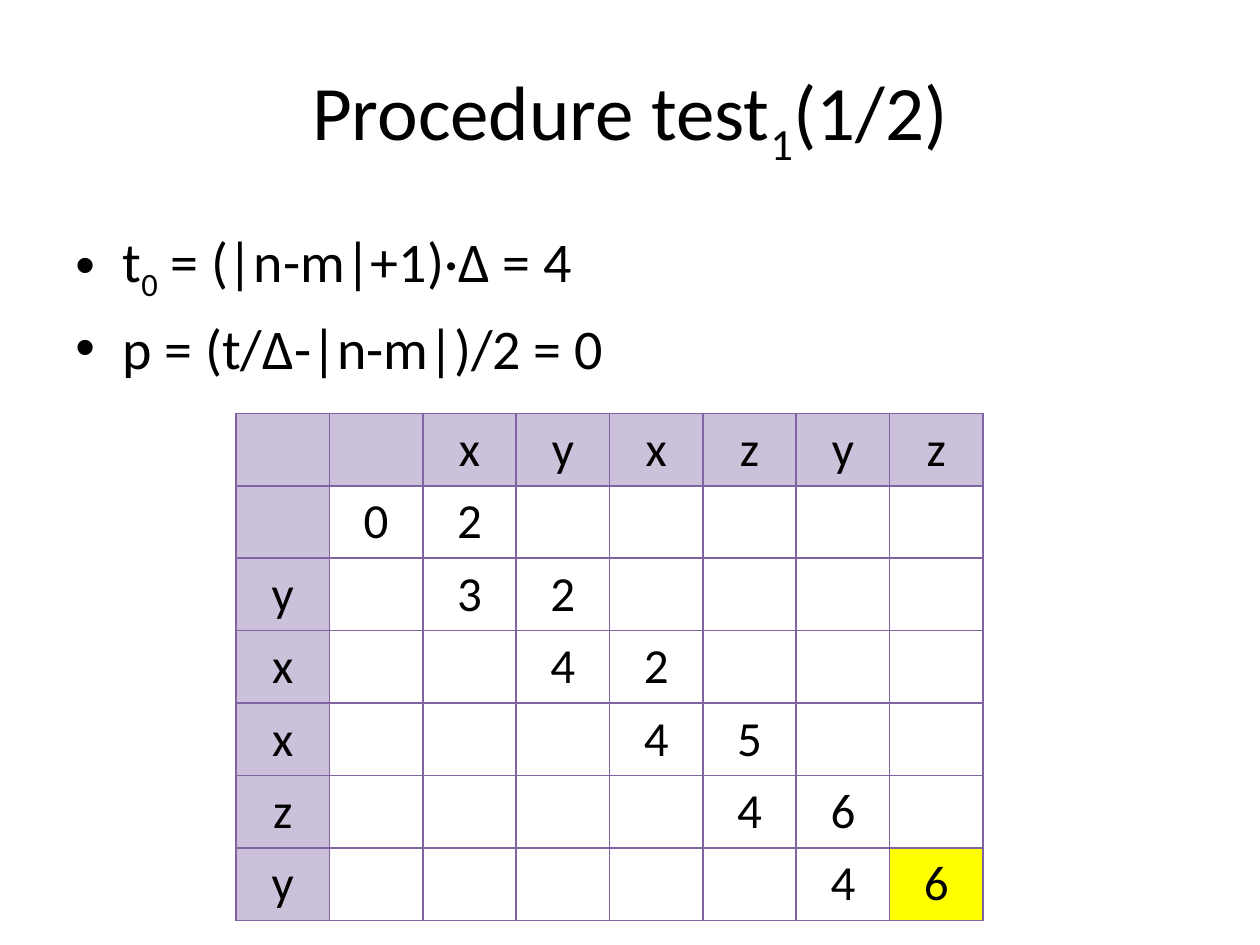
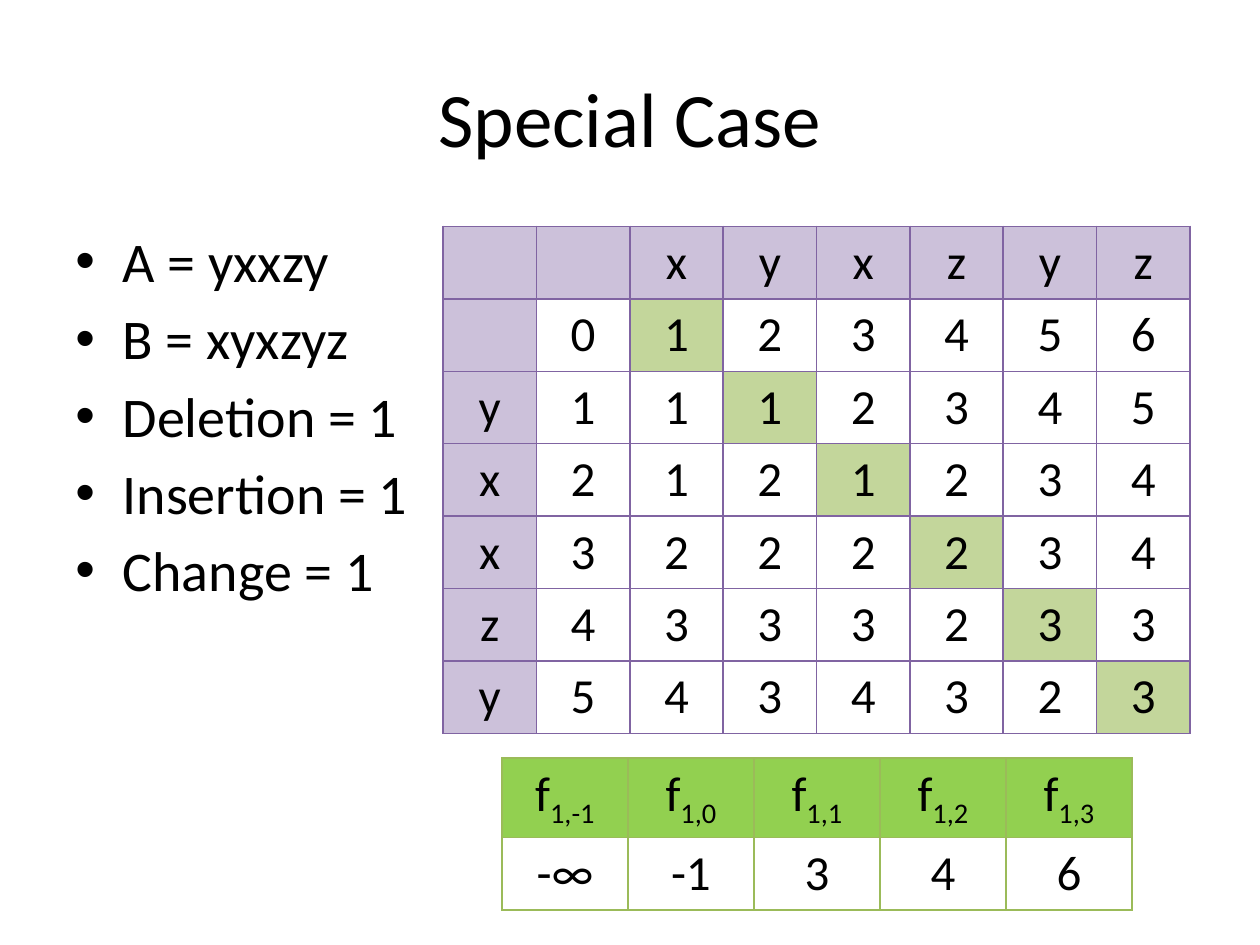
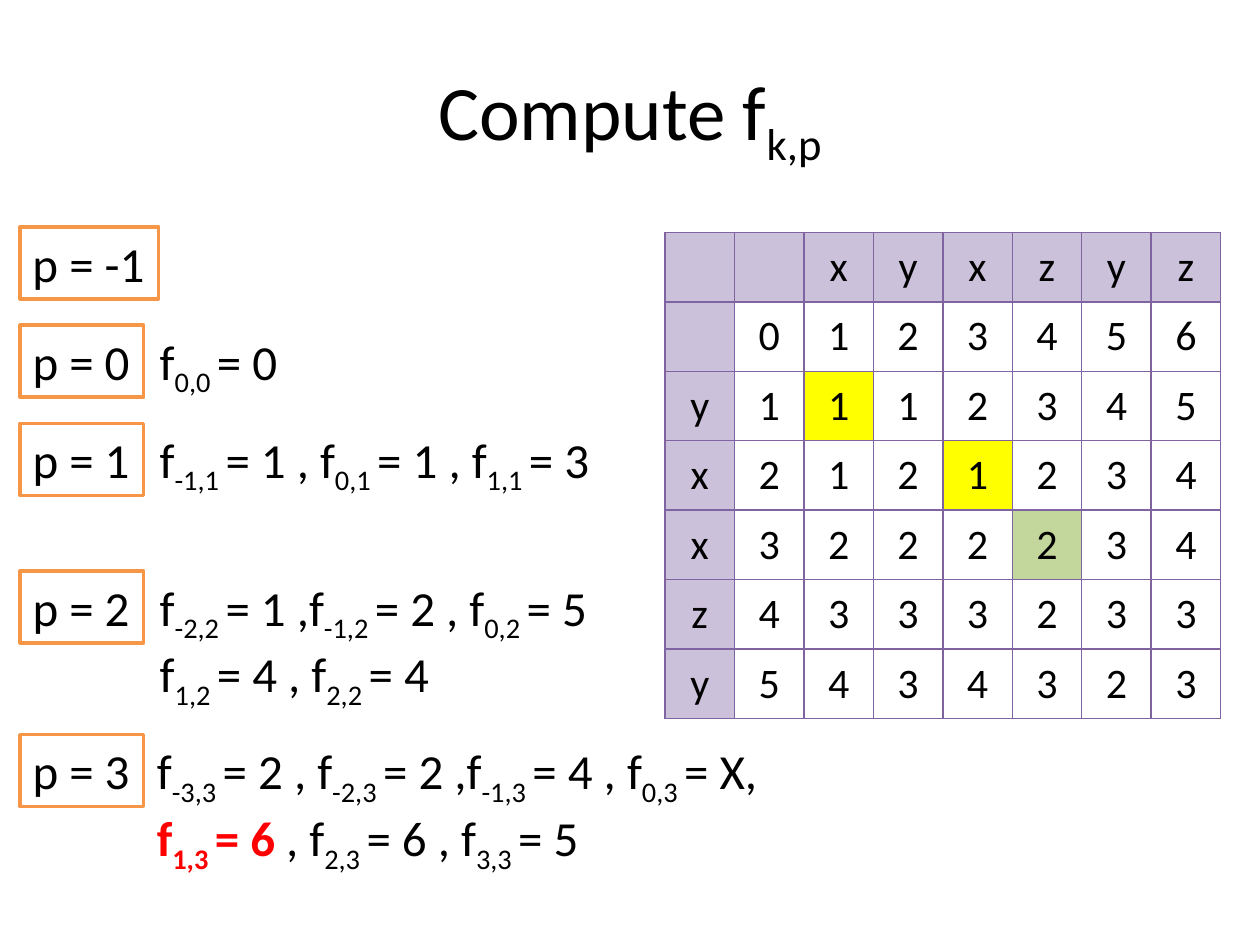
from lxml import etree
from pptx import Presentation
from pptx.dml.color import RGBColor
from pptx.enum.shapes import MSO_SHAPE
from pptx.enum.text import MSO_ANCHOR, MSO_AUTO_SIZE, PP_ALIGN
from pptx.oxml.ns import qn
from pptx.util import Pt

LEFT, CENTER = PP_ALIGN.LEFT, PP_ALIGN.CENTER
TOP, MIDDLE = MSO_ANCHOR.TOP, MSO_ANCHOR.MIDDLE
RECTANGLE = MSO_SHAPE.RECTANGLE
GROW_TO_TEXT = MSO_AUTO_SIZE.SHAPE_TO_FIT_TEXT

FONT = "Calibri"
COLORS = {
    "text": "000000",
    "paper": "FFFFFF",
    "matrix_line": "8064A2",
    "matrix_header": "CCC1DA",
    "diagonal": "C3D69B",
    "highlight": "FFFF00",
    "furthest_line": "9BBB59",
    "furthest_header": "92D050",
    "step_line": "F79646",
    "result": "FF0000",
}


def write_text(frame, lines, size, align=LEFT, bulleted=False):
    """Write one paragraph per line; text between a pair of ~ is subscript."""
    for index, line in enumerate(lines):
        paragraph = frame.paragraphs[0] if index == 0 else frame.add_paragraph()
        paragraph.alignment = align
        if bulleted:
            properties = paragraph._p.get_or_add_pPr()
            properties.set("marL", str(Pt(27)))
            properties.set("indent", str(-Pt(27)))
            etree.SubElement(properties, qn("a:buFont")).set("typeface", "Arial")
            etree.SubElement(properties, qn("a:buChar")).set("char", "•")
            if index:
                paragraph.space_before = Pt(5.75)
        paragraph.font.name = FONT
        paragraph.font.size = Pt(size)
        paragraph.font.color.rgb = RGBColor.from_string(COLORS["text"])
        for position, piece in enumerate(line.split("~")):
            if piece:
                run = paragraph.add_run()
                run.text = piece
                if position % 2:
                    run._r.get_or_add_rPr().set("baseline", "-25000")


def add_grid(slide, left, top, column_width, row_heights, rows, size, line_color, fills):
    """Add a ruled table; rows are space-separated cells, with . for an empty one."""
    cells = [row.split() for row in rows]
    column_count = len(cells[0])
    table = slide.shapes.add_table(
        len(cells), column_count, Pt(left), Pt(top),
        Pt(column_width * column_count), Pt(sum(row_heights))).table
    table.first_row = False
    table.horz_banding = False
    for column in table.columns:
        column.width = Pt(column_width)
    for row_index, values in enumerate(cells):
        table.rows[row_index].height = Pt(row_heights[row_index])
        for column_index, value in enumerate(values):
            cell = table.cell(row_index, column_index)
            cell.vertical_anchor = MIDDLE
            write_text(cell.text_frame, ["" if value == "." else value], size, CENTER)
            properties = cell._tc.get_or_add_tcPr()
            for side in ("a:lnL", "a:lnR", "a:lnT", "a:lnB"):
                border = etree.SubElement(properties, qn(side), w=str(Pt(1)))
                solid = etree.SubElement(border, qn("a:solidFill"))
                etree.SubElement(solid, qn("a:srgbClr"), val=line_color)
            fill_name = fills.get((row_index, column_index))
            if fill_name:
                cell.fill.solid()
                cell.fill.fore_color.rgb = RGBColor.from_string(COLORS[fill_name])
            else:
                cell.fill.background()


presentation = Presentation()
presentation.slide_width = Pt(720)
presentation.slide_height = Pt(540)

# Titles and bullet lists
slide_texts = [
    ("Procedure test~1~(1/2)", ["t~0~ = (|n-m|+1)·∆ = 4", "p = (t/∆-|n-m|)/2 = 0"]),
    ("Special Case", ["A = yxxzy", "B = xyxzyz", "Deletion = 1", "Insertion = 1", "Change = 1"]),
    ("Compute f~k,p~", []),
]
slides = []
for title, bullets in slide_texts:
    slide = presentation.slides.add_slide(presentation.slide_layouts[6])
    slides.append(slide)
    for lines, top, height, size, align, anchor in (
        ([title], 21.6, 90, 44, CENTER, MIDDLE),
        (bullets, 126, 356.4, 32, LEFT, TOP),
    ):
        if lines:
            box = slide.shapes.add_textbox(Pt(36), Pt(top), Pt(648), Pt(height))
            box.text_frame.word_wrap = True
            box.text_frame.vertical_anchor = anchor
            write_text(box.text_frame, lines, size, align, bulleted=lines is bullets)
test_slide, case_slide, compute_slide = slides

# Edit matrices: A runs down the side, B along the top
matrix_header = ". . x y x z y z"
test_rows = [
    matrix_header,
    ". 0 2 . . . . .",
    "y . 3 2 . . . .",
    "x . . 4 2 . . .",
    "x . . . 4 5 . .",
    "z . . . . 4 6 .",
    "y . . . . . 4 6",
]
distance_rows = [
    matrix_header,
    ". 0 1 2 3 4 5 6",
    "y 1 1 1 2 3 4 5",
    "x 2 1 2 1 2 3 4",
    "x 3 2 2 2 2 3 4",
    "z 4 3 3 3 2 3 3",
    "y 5 4 3 4 3 2 3",
]
header_fills = {(0, column): "matrix_header" for column in range(8)}
header_fills |= {(row, 0): "matrix_header" for row in range(7)}
diagonal_fills = {(row, row + 1): "diagonal" for row in range(1, 7)}
compute_fills = {(2, 2): "highlight", (3, 4): "highlight", (4, 5): "diagonal"}

for slide, left, top, column_width, row_height, rows, size, fills in (
    (test_slide, 134.9, 236.2, 53.35, 41.4, test_rows, 28, {(6, 7): "highlight"}),
    (case_slide, 253.2, 129.4, 53.35, 41.4, distance_rows, 28, diagonal_fills),
    (compute_slide, 380, 132.8, 39.7, 39.7, distance_rows, 24, compute_fills),
):
    add_grid(slide, left, top, column_width, [row_height] * 7, rows, size,
             COLORS["matrix_line"], header_fills | fills)

# Furthest rows reached on diagonal 1
add_grid(case_slide, 286.8, 433.2, 72, [45.1, 41.4],
         ["f~1,-1~ f~1,0~ f~1,1~ f~1,2~ f~1,3~", "-∞ -1 3 4 6"], 28,
         COLORS["furthest_line"], {(0, column): "furthest_header" for column in range(5)})

# Steps of the computation: boxed p, then the values found for it
steps = [
    ("p = -1", 129.6, 79.2, 0, 0, []),
    ("p = 0", 185.8, 70.6, 84.2, 95, ["f~0,0 ~= 0"]),
    ("p = 1", 241.9, 70.6, 84.2, 288, ["f~-1,1 ~= 1 , f~0,1 ~= 1 , f~1,1 ~= 3"]),
    ("p = 2", 326.2, 70.6, 84.2, 300,
     ["f~-2,2 ~= 1 ,f~-1,2 ~= 2 , f~0,2 ~= 5", "f~1,2 ~= 4 , f~2,2 ~= 4"]),
    ("p = 3", 419.8, 70.6, 82.6, 407.5,
     ["f~-3,3 ~= 2 , f~-2,3 ~= 2 ,f~-1,3 ~= 4 , f~0,3 ~= X,",
      "f~1,3 ~= 6 ~~, f~2,3 ~= 6 , f~3,3 ~= 5"]),
]
for label, top, label_width, values_left, values_width, values in steps:
    label_box = compute_slide.shapes.add_shape(
        RECTANGLE, Pt(11.5), Pt(top), Pt(label_width), Pt(41.2))
    label_box.shadow.inherit = False
    label_box.fill.solid()
    label_box.fill.fore_color.rgb = RGBColor.from_string(COLORS["paper"])
    label_box.line.color.rgb = RGBColor.from_string(COLORS["step_line"])
    label_box.line.width = Pt(2)
    label_box.text_frame.word_wrap = False
    label_box.text_frame.auto_size = GROW_TO_TEXT
    label_box.text_frame.vertical_anchor = TOP
    write_text(label_box.text_frame, [label], 28)
    if values:
        values_box = compute_slide.shapes.add_textbox(
            Pt(values_left), Pt(top), Pt(values_width), Pt(41.2 + 33.7 * (len(values) - 1)))
        values_box.text_frame.word_wrap = True
        write_text(values_box.text_frame, values, 28)

# The last step ends with the result f(1,3) = 6
for run in values_box.text_frame.paragraphs[1].runs[:3]:
    run.font.bold = True
    run.font.color.rgb = RGBColor.from_string(COLORS["result"])

presentation.save("out.pptx")
